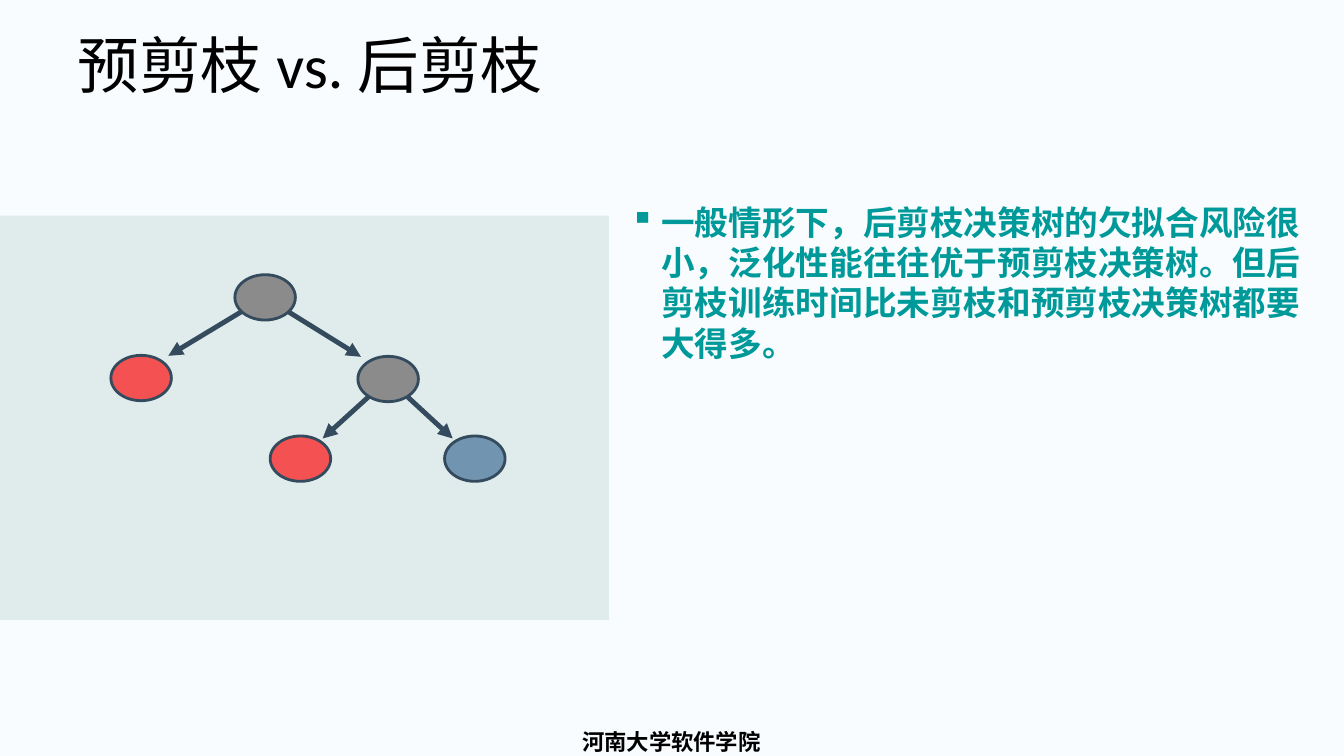
from lxml import etree
from pptx import Presentation
from pptx.dml.color import RGBColor
from pptx.enum import shapes, text
from pptx.oxml.ns import qn
from pptx.util import Inches, Pt

INK = "344B5E"
GREY, RED, BLUE = "8B8B8B", "FF0000", "7195B0"
NODE_W, NODE_H = 0.6, 0.45

# Node centres relative to the panel's top left corner: x, y, fill, opacity in %
NODES = {
    "root": (2.63, 0.81, GREY, 100),
    "root leaf": (1.4, 1.61, RED, 65),
    "branch": (3.85, 1.62, GREY, 100),
    "right leaf": (4.71, 2.41, BLUE, 100),
    "left leaf": (2.98, 2.41, RED, 65),
}
# Parent, child, distance of the arrow tip from the child's centre
EDGES = [
    ("root", "root leaf", 0.27, 0.22),
    ("root", "branch", 0.27, 0.22),
    ("branch", "left leaf", 0.22, 0.2),
    ("branch", "right leaf", 0.22, 0.2),
]


def rgb(value):
    return RGBColor.from_string(value)


def paint(fill, color, opacity=100):
    fill.solid()
    fill.fore_color.rgb = rgb(color)
    if opacity < 100:
        srgb = fill._xPr.find(qn("a:solidFill"))[0]
        etree.SubElement(srgb, qn("a:alpha"), val=str(opacity * 1000))


def add_text(slide, box, content, size, font, color, bold=False,
             align=None, spacing=None, insets=None, bullet=None):
    sp = slide.shapes.add_textbox(*map(Inches, box))
    tf = sp.text_frame
    tf.word_wrap = True
    tf.vertical_anchor = text.MSO_ANCHOR.TOP
    if insets:
        (tf.margin_left, tf.margin_top,
         tf.margin_right, tf.margin_bottom) = map(Inches, insets)
    p = tf.paragraphs[0]
    p.alignment = align
    p.line_spacing = spacing
    if bullet:
        pPr = p._p.get_or_add_pPr()
        pPr.set("marL", str(Inches(0.33)))
        pPr.set("indent", str(Inches(-0.31)))
        etree.SubElement(pPr, qn("a:buChar"), char=bullet)
    r = p.add_run()
    r.text = content
    r.font.size = Pt(size)
    r.font.name = font
    r.font.bold = bold
    r.font.color.rgb = rgb(color)


def add_shape(slide, kind, box, color, opacity=100, outline=None):
    sp = slide.shapes.add_shape(kind, *map(Inches, box))
    sp.shadow.inherit = False
    paint(sp.fill, color, opacity)
    if outline:
        sp.line.color.rgb = rgb(outline)
        sp.line.width = Pt(2)
    else:
        sp.line.fill.background()


def add_arrow(slide, x1, y1, x2, y2):
    line = slide.shapes.add_connector(
        shapes.MSO_CONNECTOR.STRAIGHT, *map(Inches, (x1, y1, x2, y2)))
    line.line.color.rgb = rgb(INK)
    line.line.width = Pt(3.5)
    etree.SubElement(line.line._get_or_add_ln(), qn("a:tailEnd"), type="triangle")
    etree.SubElement(line._element.spPr, qn("a:effectLst"))


def add_tree_panel(slide, left, top, width, height):
    add_shape(slide, shapes.MSO_SHAPE.RECTANGLE, (left, top, width, height), "E0EBEB")
    for parent, child, dx, dy in EDGES:
        x1, y1 = NODES[parent][:2]
        x2, y2 = NODES[child][:2]
        tip_x = x2 + (dx if x2 < x1 else -dx)
        add_arrow(slide, left + x1, top + y1, left + tip_x, top + y2 - dy)
    for x, y, color, opacity in NODES.values():
        box = (left + x - NODE_W / 2, top + y - NODE_H / 2, NODE_W, NODE_H)
        add_shape(slide, shapes.MSO_SHAPE.OVAL, box, color, opacity, INK)


def main():
    prs = Presentation()
    prs.slide_width, prs.slide_height = Inches(13.33), Inches(7.5)
    slide = prs.slides.add_slide(prs.slide_layouts[6])
    paint(slide.background.fill, "F8FCFE")
    add_text(slide, (4.93, 7.17, 3.46, 0.33), "河南大学软件学院", 16, "DejaVu Sans",
             "000000", bold=True, align=text.PP_ALIGN.CENTER)
    add_tree_panel(slide, 0, 2.14, 6.04, 4.01)
    add_text(slide, (6.23, 1.99, 6.84, 1.63),
             "一般情形下，后剪枝决策树的欠拟合风险很小，泛化性能往往优于预剪枝决策树。"
             "但后剪枝训练时间比未剪枝和预剪枝决策树都要大得多。",
             24, "Roboto", "009999", bold=True, insets=(0, 0.01, 0, 0), bullet="▪")
    add_text(slide, (0.67, 0.3, 12, 1.25), "预剪枝 vs. 后剪枝", 44, "Calibri",
             "000000", spacing=0.9)
    prs.save("out.pptx")


if __name__ == "__main__":
    main()
